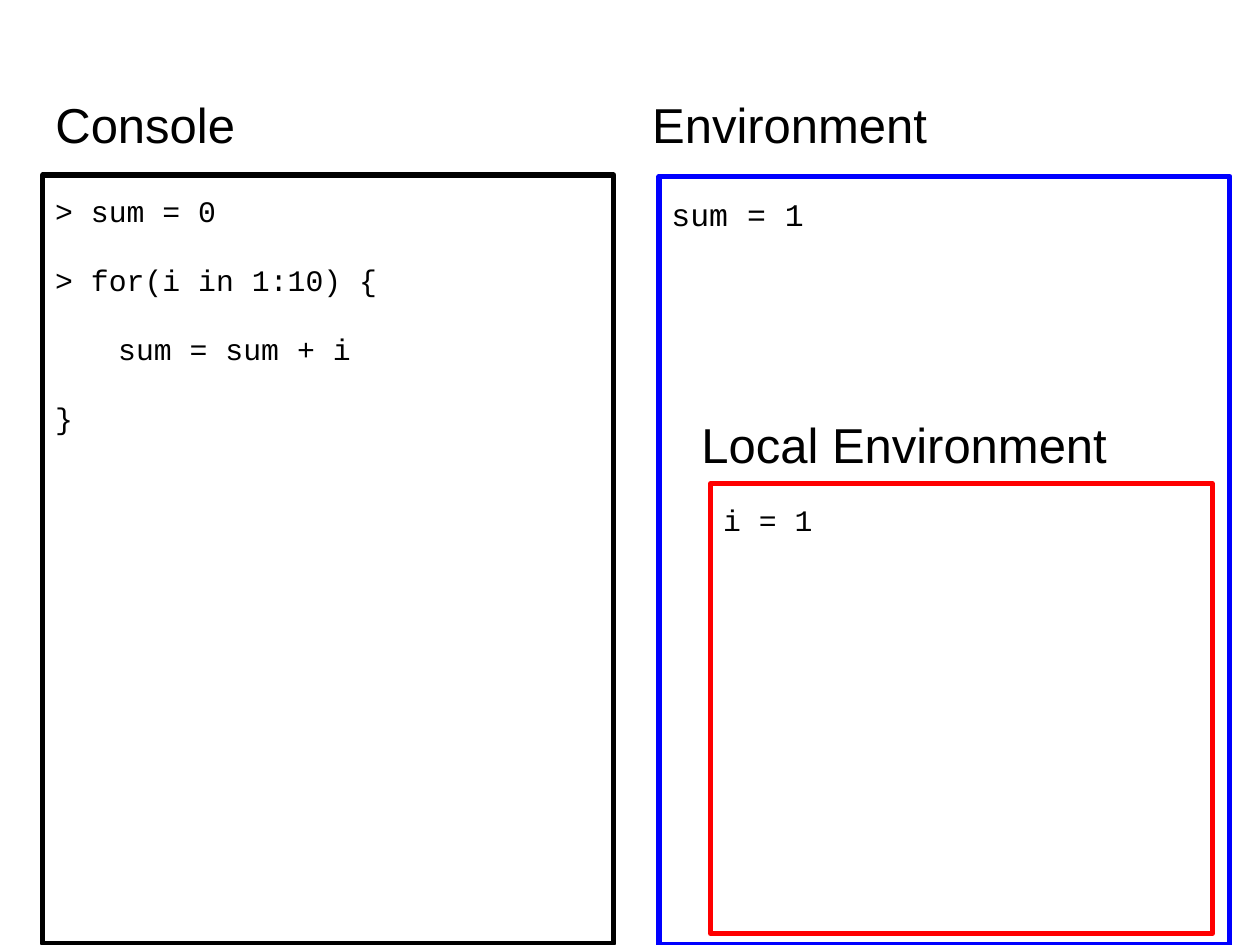
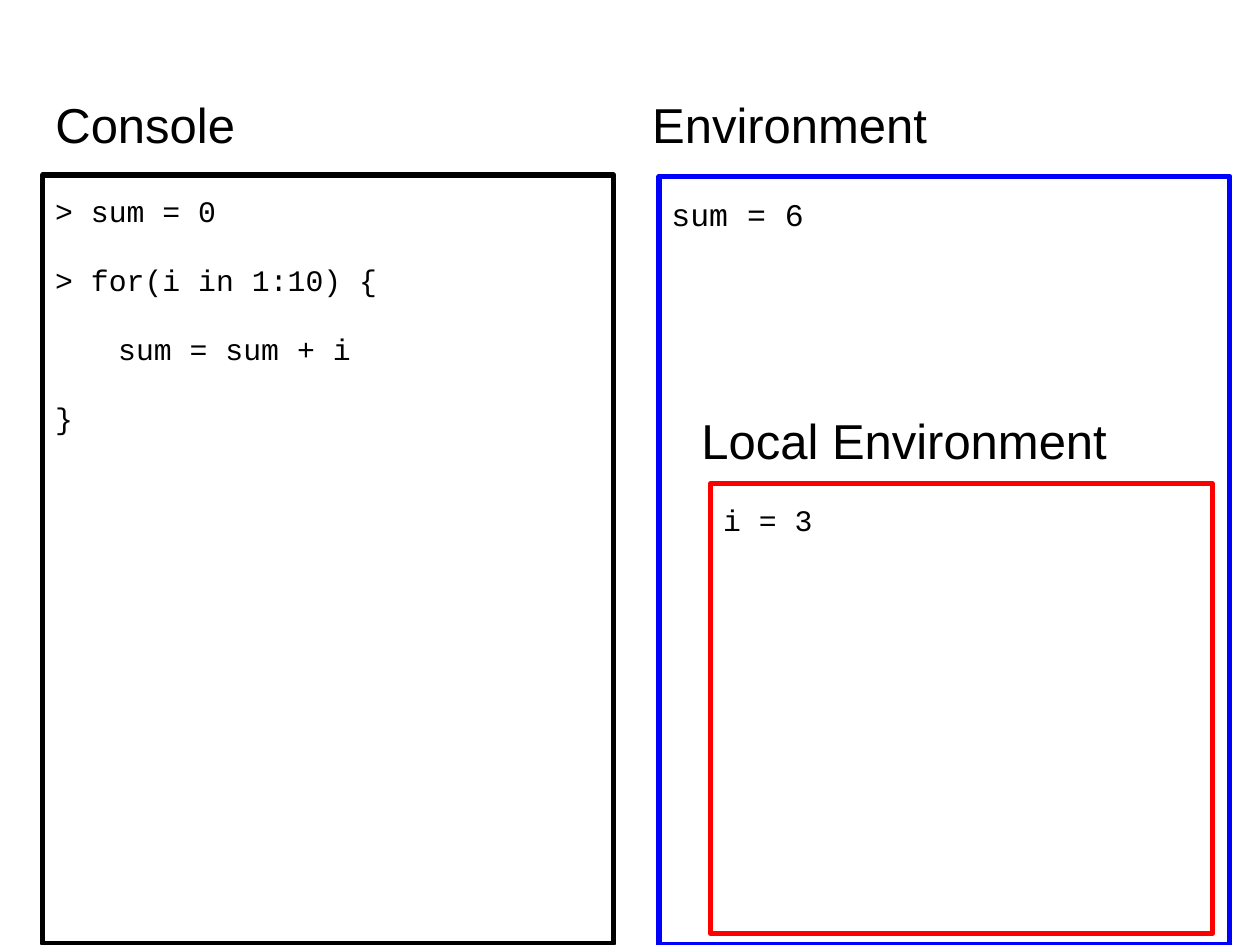
from lxml.etree import SubElement
from pptx import Presentation
from pptx.dml.color import RGBColor
from pptx.enum.shapes import MSO_SHAPE as Shape
from pptx.enum.text import MSO_ANCHOR as Anchor, MSO_AUTO_SIZE as AutoSize, PP_ALIGN as Align
from pptx.oxml.ns import qn
from pptx.util import Pt

HEADING = "Console\tEnvironment"
LOCAL_HEADING = "Local Environment"
CONSOLE_CODE = ["> sum = 0", "> for(i in 1:10) {", "\tsum = sum + i", "}"]
STEPS = [
    {"global": "sum = 1", "local": "i = 1", "local_heading_top": 229.7},
    {"global": "sum = 6", "local": "i = 3", "local_heading_top": 227.5},
]

BLACK, BLUE, RED = "000000", "0000FF", "FF0000"
HEADING_FONT = {"name": "Arial", "size": Pt(28)}
CODE_FONT = {"name": "Courier New", "size": Pt(17)}
GLOBAL_FONT = {"name": "Courier New", "size": Pt(18)}

# left, top, width, height in points
HEADING_BOX = (24.5, 46.8, 671, 59.8)
CONSOLE_BOX = (24.5, 100.1, 326.2, 439.2)
GLOBAL_BOX = (376.6, 100.8, 326.2, 439.2)
LOCAL_BOX = (406.1, 276.5, 286.6, 257)
LOCAL_HEADING_LEFT, LOCAL_HEADING_SIZE = 393.8, (326.2, 71.3)
ENVIRONMENT_TAB = 341
INSET = 7.2
FRAME = {
    "word_wrap": True, "auto_size": AutoSize.NONE, "vertical_anchor": Anchor.TOP,
    **{f"margin_{side}": Pt(INSET) for side in ("left", "top", "right", "bottom")},
}


def rgb(colour):
    return RGBColor.from_string(colour)


def apply(target, values):
    for name, value in values.items():
        setattr(target, name, value)


def write(shape, lines, font, spacing=1.0, gap=0):
    frame = shape.text_frame
    apply(frame, FRAME)
    for index, line in enumerate(lines):
        paragraph = frame.add_paragraph() if index else frame.paragraphs[0]
        apply(paragraph, {"alignment": Align.LEFT, "line_spacing": spacing,
                          "space_before": Pt(gap if index else 0)})
        run = paragraph.add_run()
        run.text = line
        apply(run.font, font)
        run.font.color.rgb = rgb(BLACK)


def add_tab_stop(paragraph, position):
    stops = SubElement(paragraph._p.get_or_add_pPr(), qn("a:tabLst"))
    SubElement(stops, qn("a:tab"), pos=str(Pt(position)), algn="l")


def add_heading(slide):
    title = slide.shapes.title
    apply(title, dict(zip(("left", "top", "width", "height"), map(Pt, HEADING_BOX))))
    write(title, [HEADING], HEADING_FONT)
    add_tab_stop(title.text_frame.paragraphs[0], ENVIRONMENT_TAB)


def add_panel(slide, box, outline, lines, font):
    panel = slide.shapes.add_shape(Shape.RECTANGLE, *map(Pt, box))
    panel.shadow.inherit = False
    panel.fill.background()
    panel.line.color.rgb = rgb(outline)
    panel.line.width = Pt(3)
    write(panel, lines, font, spacing=1.15, gap=16)


def add_step(deck, step):
    slide = deck.slides.add_slide(deck.slide_layouts[5])
    add_heading(slide)
    add_panel(slide, CONSOLE_BOX, BLACK, CONSOLE_CODE, CODE_FONT)
    add_panel(slide, GLOBAL_BOX, BLUE, [step["global"]], GLOBAL_FONT)
    add_panel(slide, LOCAL_BOX, RED, [step["local"]], CODE_FONT)
    local_heading = slide.shapes.add_textbox(
        *map(Pt, (LOCAL_HEADING_LEFT, step["local_heading_top"], *LOCAL_HEADING_SIZE)))
    write(local_heading, [LOCAL_HEADING], HEADING_FONT)


def main():
    deck = Presentation()
    deck.slide_width, deck.slide_height = Pt(720), Pt(540)
    for step in STEPS:
        add_step(deck, step)
    deck.save("out.pptx")


if __name__ == "__main__":
    main()
